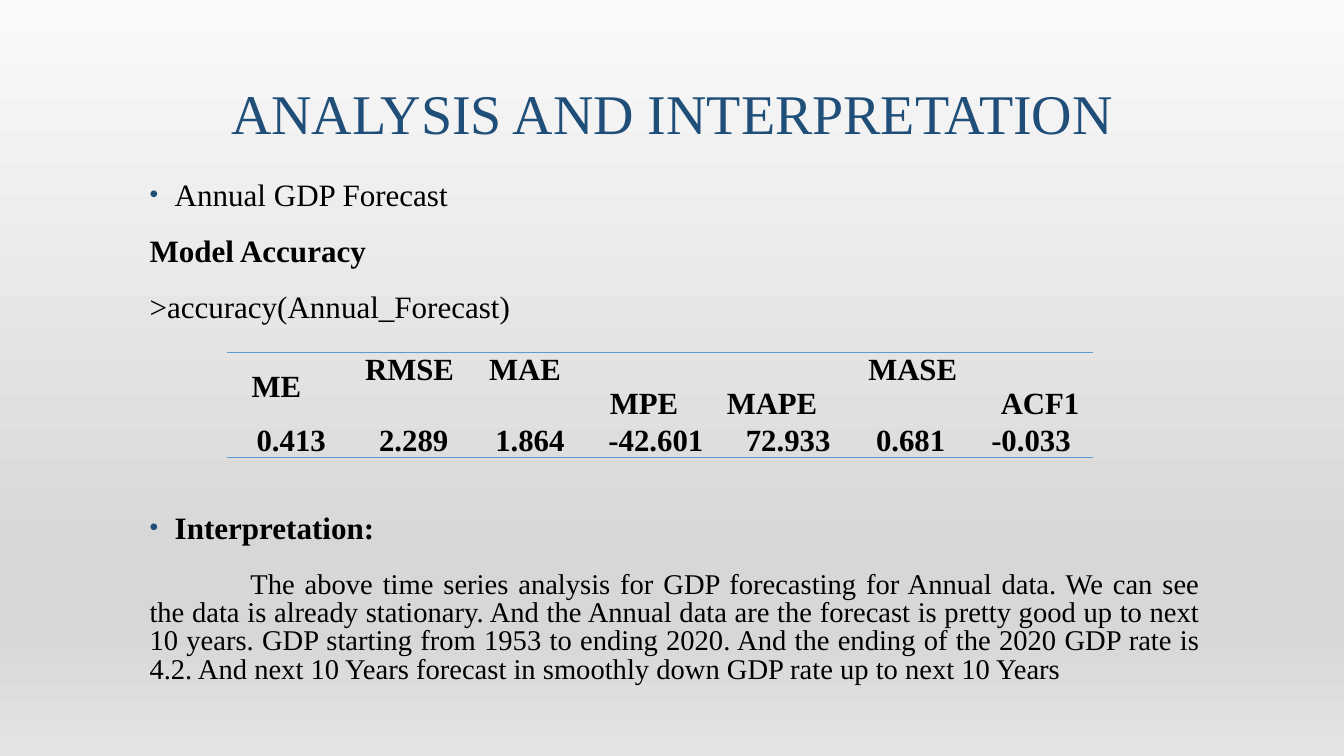
"""Build the slide on the accuracy of the annual GDP forecast."""
from dataclasses import dataclass

from lxml import etree
from pptx import Presentation
from pptx.dml.color import RGBColor
from pptx.enum import text
from pptx.oxml import ns
from pptx.util import Pt

TITLE = "ANALYSIS AND INTERPRETATION"
INTERPRETATION = (
    "The above time series analysis for GDP forecasting for Annual data. "
    "We can see the data is already stationary. And the Annual data are the "
    "forecast is pretty good up to next 10 years. GDP starting from 1953 to "
    "ending 2020. And the ending of the 2020 GDP rate is 4.2. And next 10 Years "
    "forecast in smoothly down GDP rate up to next 10 Years"
)
TOP, MIDDLE, BOTTOM = (
    text.MSO_ANCHOR.TOP, text.MSO_ANCHOR.MIDDLE, text.MSO_ANCHOR.BOTTOM)
# name, value, column width, header anchor, header left and right insets
MEASURES = [
    ("ME", "0.413", 92, MIDDLE, 1, 22),
    ("RMSE", "2.289", 83, TOP, 1, 7),
    ("MAE", "1.864", 83, TOP, 1, 8),
    ("MPE", "-42.601", 97, BOTTOM, 1, 18),
    ("MAPE", "72.933", 92, BOTTOM, 1, 24),
    ("MASE", "0.681", 83, TOP, 4, 1),
    ("ACF1", "-0.033", 89, BOTTOM, 14, 1),
]


@dataclass(frozen=True)
class Theme:
    """Colours, font and type sizes."""
    font: str = "Times New Roman"
    accent: str = "1F4E79"
    ink: str = "000000"
    rule: str = "5B9BD5"
    backdrop: tuple = ((0, "FAFAFA"), (74, "D7D7D7"), (83, "D7D7D7"), (100, "E4E4E4"))
    title: float = 40
    body: float = 22.2
    prose: float = 20.4
    table: float = 22


THEME = Theme()
TABLE_GAP = 136
# text, size, bold, bulleted, space before, first-line indent
BODY = [
    ("Annual GDP Forecast", THEME.body, False, True, 0, -18),
    ("Model Accuracy", THEME.body, True, False, 18, 0),
    (">accuracy(Annual_Forecast)", THEME.body, False, False, 18, 0),
    ("Interpretation:", THEME.body, True, True, TABLE_GAP, -18),
    (INTERPRETATION, THEME.prose, False, False, 18, 72),
]


def add(parent, tag, **attrs):
    """Append an XML element and return it."""
    return etree.SubElement(parent, ns.qn(tag), attrs)


def style(p, size, color, bold=False):
    """Set the font of a paragraph."""
    p.font.name, p.font.size, p.font.bold = THEME.font, Pt(size), bold
    p.font.color.rgb = RGBColor.from_string(color)


def place(sp, *box):
    """Move a shape to left, top, width, height."""
    sp.left, sp.top, sp.width, sp.height = map(Pt, box)


def paint_background(s):
    """Fill the background with a vertical gradient."""
    fill = s.background.fill
    fill.gradient()
    fill.gradient_angle = 270
    stops = next(s.element.iter(ns.qn("a:gsLst")))
    for stop in list(stops):
        stops.remove(stop)
    for position, color in THEME.backdrop:
        stop = add(stops, "a:gs", pos=str(position * 1000))
        add(stop, "a:srgbClr", val=color)


def add_title(s):
    """Write the title."""
    sp = s.shapes.title
    place(sp, 96, 21.6, 768, 86.4)
    tf = sp.text_frame
    tf.text, tf.vertical_anchor = TITLE, BOTTOM
    tf.auto_size = text.MSO_AUTO_SIZE.NONE
    p = tf.paragraphs[0]
    p.alignment, p.line_spacing = text.PP_ALIGN.CENTER, 0.9
    style(p, THEME.title, THEME.accent)


def set_bullet(p, bulleted, indent):
    """Set the indents and the bullet of a paragraph."""
    props = p._p.get_or_add_pPr()
    props.set("marL", str(Pt(21.6 if bulleted else 3.6)))
    props.set("indent", str(Pt(indent)))
    if bulleted:
        add(add(props, "a:buClr"), "a:srgbClr", val=THEME.accent)
        add(props, "a:buSzPct", val="80000")
        add(props, "a:buFont", typeface="Arial")
        add(props, "a:buChar", char="•")
    else:
        add(props, "a:buNone")


def add_body(s):
    """Write the list around the table."""
    sp = s.placeholders[1]
    place(sp, 96, 126, 768, 360)
    tf = sp.text_frame
    tf.auto_size, tf.vertical_anchor = text.MSO_AUTO_SIZE.NONE, TOP
    tf.text = "\n".join(row[0] for row in BODY)
    for p, (words, size, bold, bulleted, before, indent) in zip(tf.paragraphs, BODY):
        set_bullet(p, bulleted, indent)
        p.line_spacing, p.space_before = 0.83, Pt(before)
        p.alignment = (text.PP_ALIGN.JUSTIFY if words == INTERPRETATION
                       else text.PP_ALIGN.LEFT)
        style(p, size, THEME.ink, bold)


def fill_cell(cell, words, anchor, left, right, edge):
    """Write a table cell and rule its outer edge."""
    cell.text, cell.vertical_anchor = words, anchor
    cell.margin_left, cell.margin_right = Pt(left), Pt(right)
    cell.margin_top, cell.margin_bottom = Pt(0.5), 0
    line = add(cell._tc.get_or_add_tcPr(), edge, w=str(Pt(1)))
    add(add(line, "a:solidFill"), "a:srgbClr", val=THEME.rule)
    cell.fill.background()
    p = cell.text_frame.paragraphs[0]
    p.alignment = text.PP_ALIGN.CENTER
    style(p, THEME.table, THEME.ink, True)


def add_accuracy_table(s):
    """Add the table of accuracy measures."""
    heights = (49, 26)
    width = sum(row[2] for row in MEASURES)
    frame = s.shapes.add_table(
        2, len(MEASURES), Pt(162), Pt(252), Pt(width), Pt(sum(heights)))
    table = frame.table
    table.first_row = table.horz_banding = False
    style_id = next(table._tbl.iter(ns.qn("a:tableStyleId")))
    style_id.text = "{2D5ABB26-0587-4C30-8999-92F81FD0307C}"
    for row, height in zip(table.rows, heights):
        row.height = Pt(height)
    for i, (name, value, column, anchor, left, right) in enumerate(MEASURES):
        table.columns[i].width = Pt(column)
        fill_cell(table.cell(0, i), name, anchor, left, right, "a:lnT")
        fill_cell(table.cell(1, i), value, BOTTOM, 1, 1, "a:lnB")


def main():
    """Build and save the presentation."""
    prs = Presentation()
    prs.slide_width, prs.slide_height = Pt(960), Pt(540)
    s = prs.slides.add_slide(prs.slide_layouts[1])
    paint_background(s)
    add_body(s)
    add_title(s)
    add_accuracy_table(s)
    prs.save("out.pptx")


if __name__ == "__main__":
    main()
